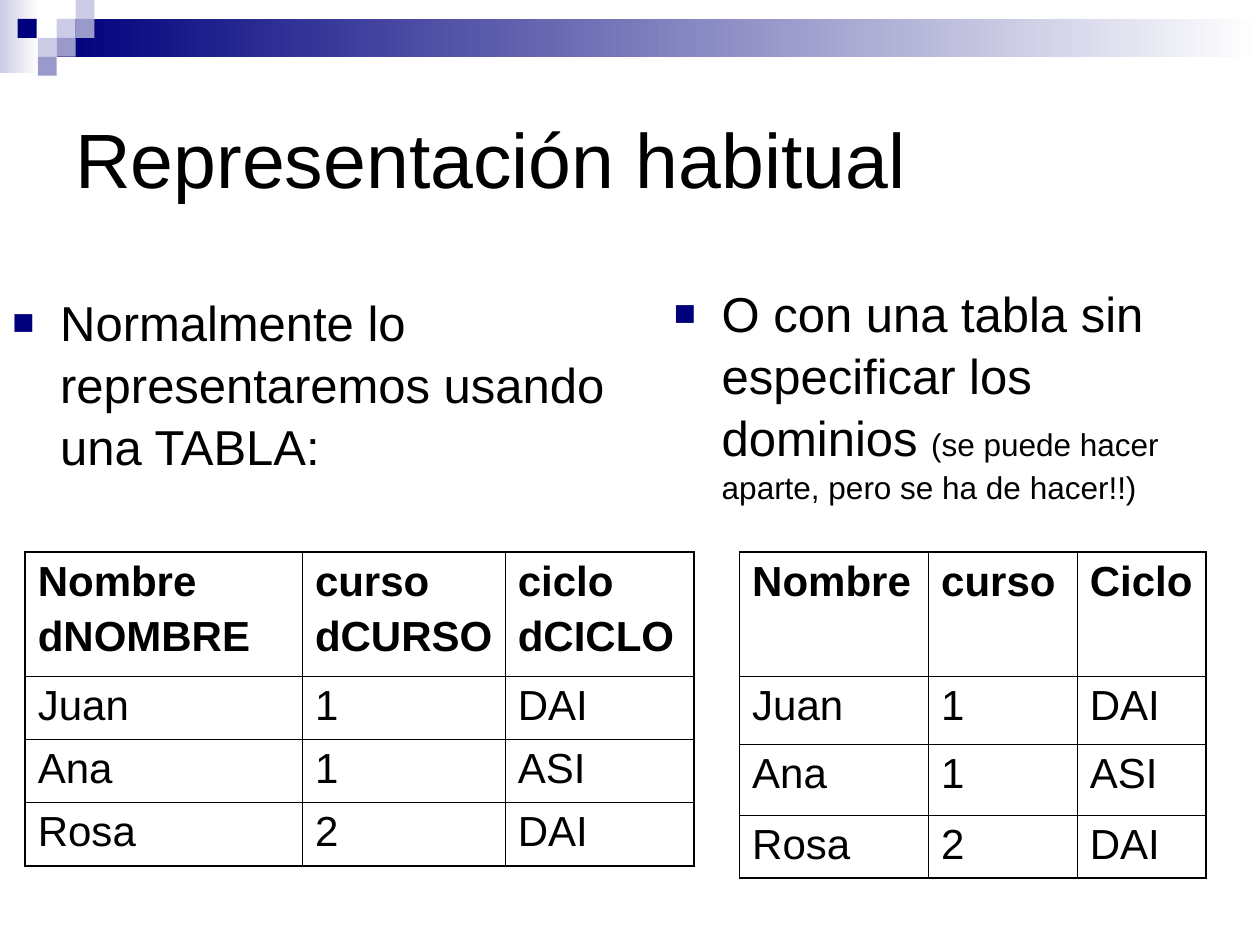
from lxml.etree import SubElement
from pptx import Presentation
from pptx.dml.color import RGBColor
from pptx.enum.shapes import MSO_SHAPE as Shape
from pptx.enum.text import MSO_ANCHOR as Anchor
from pptx.oxml.ns import qn
from pptx.util import Inches, Pt

FONT = "Arial"
BLACK, WHITE = "000000", "FFFFFF"
NAVY, LILAC, PALE = "00007D", "9999CC", "CCCCE6"
THICK, THIN = 1.08, 0.45

STUDENTS = [["Juan", "1", "DAI"], ["Ana", "1", "ASI"], ["Rosa", "2", "DAI"]]
SQUARES = [
    (0.45, 0.15, PALE), (0.6, 0, PALE), (0.6, 0.15, LILAC), (0.3, 0.3, PALE),
    (0.14, 0.15, NAVY), (0.45, 0.3, LILAC), (0.3, 0.45, LILAC),
]


def rgb(color):
    return RGBColor.from_string(color)


def style(font, size, bold=False):
    font.name = FONT
    font.size = Pt(size)
    font.bold = bold
    font.color.rgb = rgb(BLACK)


def add_rect(page, left, top, width, height, color, fade=False):
    """Borderless rectangle, solid or fading to white on the right."""
    rect = page.shapes.add_shape(Shape.RECTANGLE, Inches(left), Inches(top),
                                 Inches(width), Inches(height))
    rect.shadow.inherit = False
    rect.line.fill.background()
    if fade:
        rect.fill.gradient()
        rect.fill.gradient_angle = 0
        for stop, stop_color in zip(rect.fill.gradient_stops, (color, WHITE)):
            stop.color.rgb = rgb(stop_color)
    else:
        rect.fill.solid()
        rect.fill.fore_color.rgb = rgb(color)


def add_text(page, left, top, width, height, spans, bullet=False):
    """Text box with one paragraph made of (text, size) spans."""
    box = page.shapes.add_textbox(Inches(left), Inches(top),
                                  Inches(width), Inches(height))
    box.text_frame.word_wrap = True
    para = box.text_frame.paragraphs[0]
    if bullet:
        add_bullet(para)
    for text, size in spans:
        span = para.add_run()
        span.text = text
        style(span.font, size)
    return box


def add_bullet(para):
    para.line_spacing = 1.05
    props = para._p.get_or_add_pPr()
    props.set("marL", str(Inches(0.38)))
    props.set("indent", str(-Inches(0.38)))
    SubElement(SubElement(props, qn("a:buClr")), qn("a:srgbClr"), val=NAVY)
    SubElement(props, qn("a:buSzPct"), val="75000")
    SubElement(props, qn("a:buFont"), typeface=FONT)
    SubElement(props, qn("a:buChar"), char="■")


def add_borders(cell, widths):
    props = cell._tc.get_or_add_tcPr()
    for side, width in zip("LRTB", widths):
        line = SubElement(props, qn(f"a:ln{side}"), w=str(Pt(width)))
        fill = SubElement(line, qn("a:solidFill"))
        SubElement(fill, qn("a:srgbClr"), val=BLACK)


def add_table(page, left, top, widths, heights, rows):
    """Grid with a bold first row and a thicker outer frame."""
    table = page.shapes.add_table(
        len(heights), len(widths), Inches(left), Inches(top),
        Inches(sum(widths)), Inches(sum(heights))).table
    table.first_row = table.horz_banding = False
    for column, width in zip(table.columns, widths):
        column.width = Inches(width)
    for row, height in zip(table.rows, heights):
        row.height = Inches(height)

    for r, texts in enumerate(rows):
        for c, text in enumerate(texts):
            cell = table.cell(r, c)
            outer = (c == 0, c == len(widths) - 1, r == 0, r == len(heights) - 1)
            add_borders(cell, [THICK if edge else THIN for edge in outer])
            cell.fill.background()
            cell.text_frame.text = text
            for i, para in enumerate(cell.text_frame.paragraphs):
                if i:
                    para.space_before = Pt(5)
                style(para.runs[0].font, 24, bold=r == 0)


def main():
    deck = Presentation()
    deck.slide_width, deck.slide_height = Inches(10), Inches(7.5)
    page = deck.slides.add_slide(deck.slide_layouts[6])

    # Header band and squares
    add_rect(page, 0, 0, 0.31, 0.58, PALE, fade=True)
    add_rect(page, 0.45, 0.15, 9.55, 0.3, NAVY, fade=True)
    for left, top, color in SQUARES:
        add_rect(page, left, top, 0.15, 0.15, color)

    # Title
    title = add_text(page, 0.5, 0.5, 9, 1.5, [("Representación habitual", 44)])
    title.text_frame.vertical_anchor = Anchor.MIDDLE

    # Bullets
    add_text(page, 0, 2.25, 5.46, 4.83,
             [("Normalmente lo representaremos usando una TABLA:", 28)],
             bullet=True)
    add_text(page, 5.25, 2.18, 4.54, 4.91,
             [("O con una tabla sin especificar los dominios ", 28),
              ("(se puede hacer aparte, pero se ha de hacer!!)", 18)],
             bullet=True)

    # Tables with and without domains
    add_table(page, 0.2, 4.38, [2.2, 1.61, 1.5], [0.99, 0.5, 0.5, 0.5],
              [["Nombre\ndNOMBRE", "curso\ndCURSO", "ciclo\ndCICLO"], *STUDENTS])
    add_table(page, 5.87, 4.38, [1.5, 1.18, 1.02], [0.99, 0.54, 0.56, 0.5],
              [["Nombre", "curso", "Ciclo"], *STUDENTS])

    deck.save("out.pptx")


if __name__ == "__main__":
    main()
